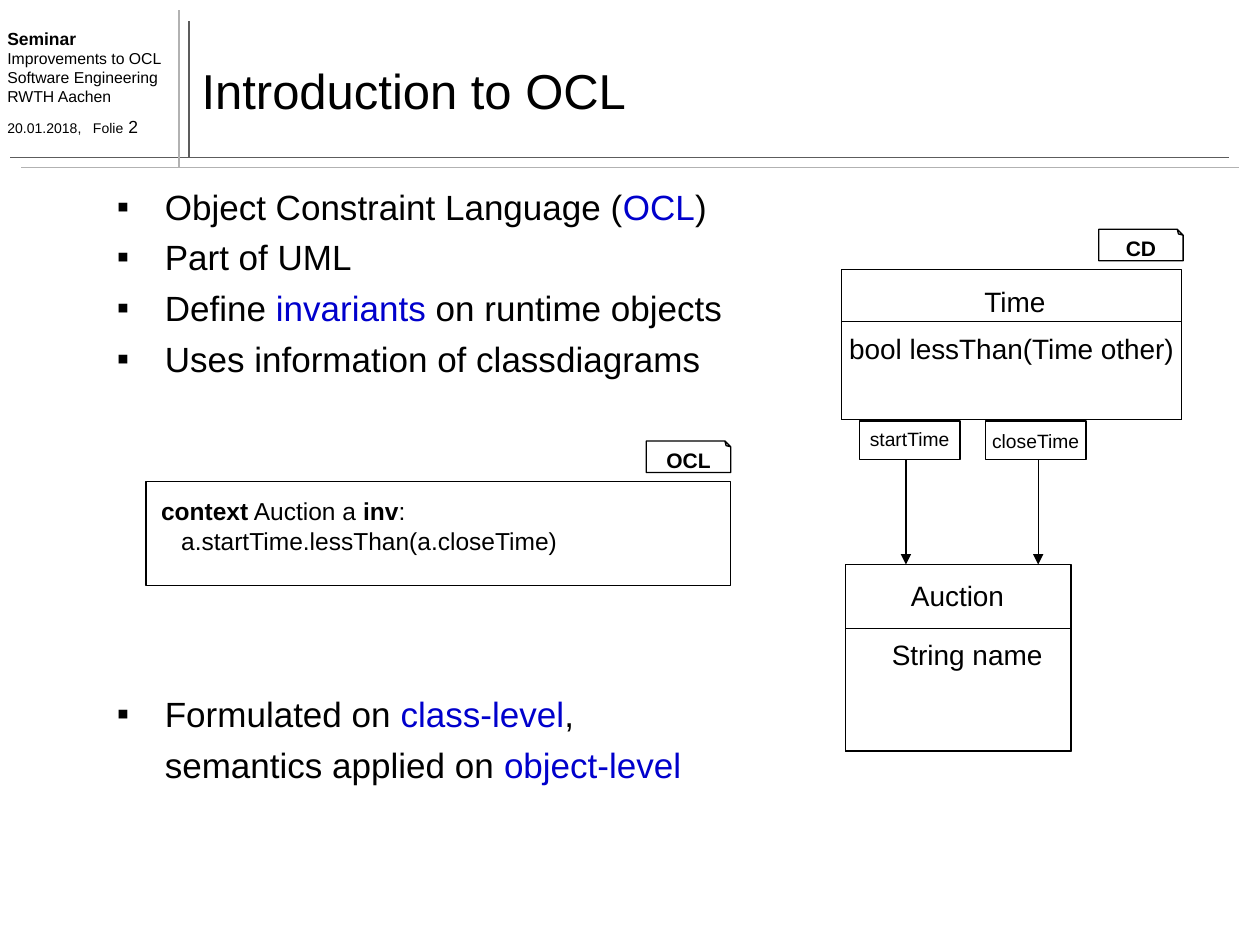
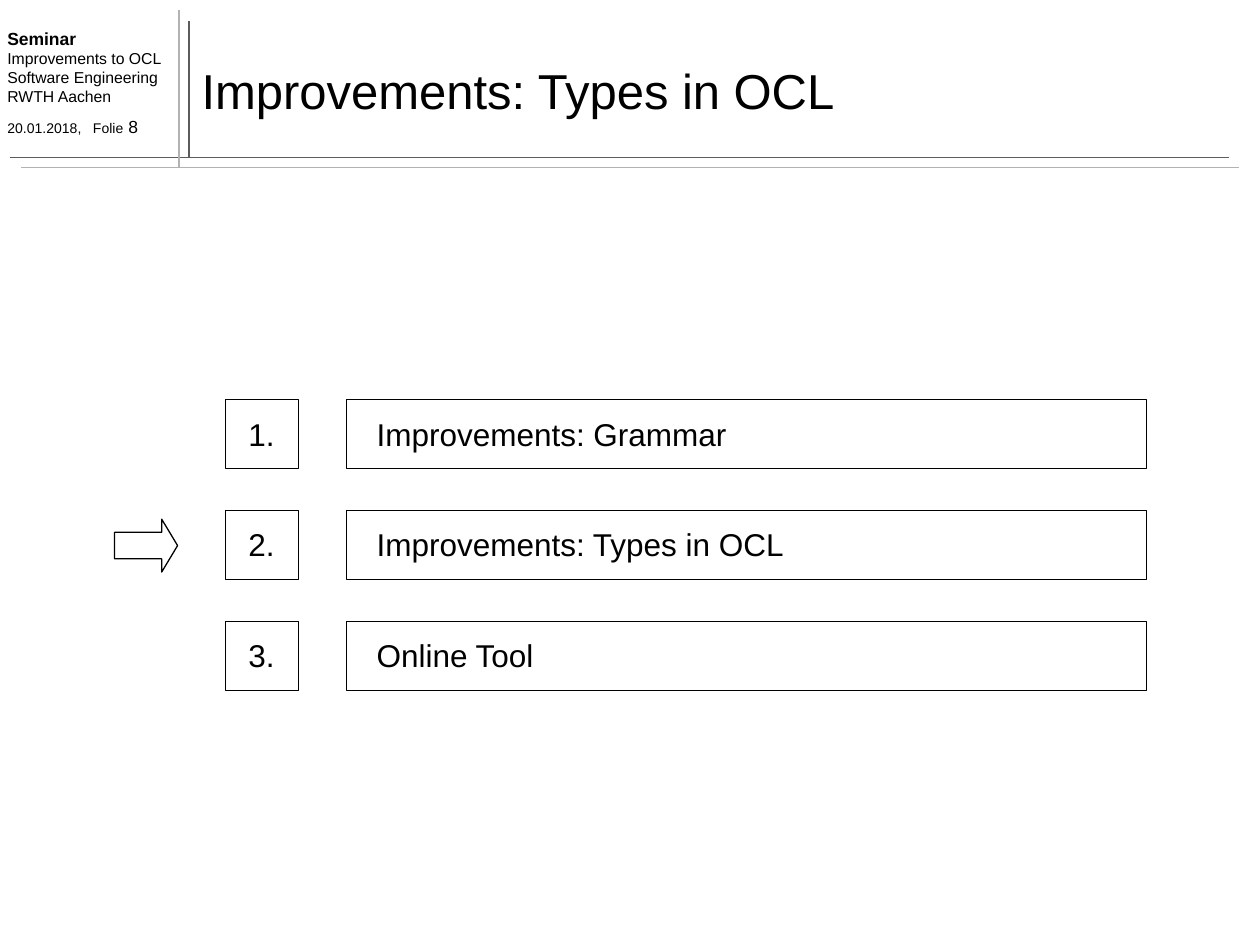
from lxml.etree import SubElement
from pptx import Presentation
from pptx.dml.color import RGBColor
from pptx.enum.shapes import MSO_CONNECTOR, MSO_SHAPE
from pptx.enum.text import MSO_ANCHOR, MSO_AUTO_SIZE, PP_ALIGN
from pptx.oxml.ns import qn
from pptx.shapes.connector import Connector
from pptx.util import Inches, Pt

BLACK, BLUE, DARK_GRAY, LIGHT_GRAY, WHITE = "000000", "0000CC", "5C5C5C", "B2B2B2", "FFFFFF"
FONT = "Arial"
TITLE_ONLY = 5


def write(frame, paragraphs, size=16, bold=False, align=PP_ALIGN.LEFT,
          anchor=MSO_ANCHOR.TOP, wrap=False, space_before=0):
    """Fill a text frame; each paragraph is a list of (text, overrides) spans."""
    frame.auto_size = MSO_AUTO_SIZE.NONE
    frame.word_wrap = wrap
    frame.vertical_anchor = anchor
    for index, spans in enumerate(paragraphs):
        para = frame.paragraphs[0] if index == 0 else frame.add_paragraph()
        para.alignment = align
        para.space_before = Pt(space_before)
        for text, overrides in spans:
            span = para.add_run()
            span.text = text
            span.font.name = FONT
            span.font.size = Pt(overrides.get("size", size))
            span.font.bold = overrides.get("bold", bold)
            span.font.color.rgb = RGBColor.from_string(overrides.get("color", BLACK))


def outline(item, color=BLACK, width=0.75, fill=None):
    """Give a shape or connector a plain line and no shadow."""
    item.line.color.rgb = RGBColor.from_string(color)
    item.line.width = Pt(width)
    if not isinstance(item, Connector):
        if fill:
            item.fill.solid()
            item.fill.fore_color.rgb = RGBColor.from_string(fill)
        else:
            item.fill.background()
    SubElement(item.element.spPr, qn("a:effectLst"))


deck = Presentation()
deck.slide_width, deck.slide_height = Inches(10), Inches(7.5)

# Shared header: crossing rules, seminar details and title
header_rules = [
    ((1.5, 1.25), (1.5, 0.17), DARK_GRAY),
    ((0.08, 1.25), (9.75, 1.25), DARK_GRAY),
    ((0.17, 1.33), (9.83, 1.33), LIGHT_GRAY),
    ((1.42, 1.33), (1.42, 0.08), LIGHT_GRAY),
]
pages = []
for title_text, number in [("Introduction to OCL", 2), ("Improvements: Types in OCL", 8)]:
    page = deck.slides.add_slide(deck.slide_layouts[TITLE_ONLY])
    pages.append(page)
    for start, end, color in header_rules:
        rule = page.shapes.add_connector(MSO_CONNECTOR.STRAIGHT, *map(Inches, start + end))
        outline(rule, color, 1)

    details = page.shapes.add_textbox(*map(Inches, (-0.04, 0.17, 1.54, 0.97))).text_frame
    write(details, [
        [("Seminar", {"size": 10, "bold": True})],
        [("Improvements to OCL", {})],
        [("Software Engineering", {})],
        [("RWTH Aachen", {})],
        [("20.01.2018,\tFolie", {"size": 8}), (f" {number}", {"size": 10})],
    ], size=9, wrap=True)
    date_para = details.paragraphs[-1]
    date_para.space_before = Pt(6.2)
    tabs = SubElement(date_para._p.get_or_add_pPr(), qn("a:tabLst"))
    SubElement(tabs, qn("a:tab"), pos=str(Inches(0.68)), algn="l")

    title = page.shapes.title
    title.left, title.top, title.width, title.height = map(Inches, (1.5, 0.25, 8.33, 0.92))
    write(title.text_frame, [[(title_text, {})]], size=28, anchor=MSO_ANCHOR.MIDDLE, wrap=True)

intro, agenda = pages

# Introduction: bullets above and below the code example
blue = {"color": BLUE}
bullet_blocks = [
    (1.42, 1.8, [
        [("Object Constraint Language (", {}), ("OCL", blue), (")", {})],
        [("Part of UML", {})],
        [("Define ", {}), ("invariants", blue), (" on runtime objects", {})],
        [("Uses information of classdiagrams", {})],
    ]),
    (5.45, 1, [
        [("Formulated on ", {}), ("class-level", blue), (",", {})],
        [("semantics applied on ", {}), ("object-level", blue)],
    ]),
]
for top, height, paragraphs in bullet_blocks:
    box = intro.shapes.add_textbox(*map(Inches, (0.83, top, 5.7, height)))
    write(box.text_frame, paragraphs, size=20, wrap=True, space_before=5)
    for para, spans in zip(box.text_frame.paragraphs, paragraphs):
        properties = para._p.get_or_add_pPr()
        properties.set("marL", str(Inches(0.38)))
        if spans[0][0].startswith("semantics"):
            continue  # continues the bullet above
        properties.set("indent", str(Inches(-0.38)))
        bullet_color = SubElement(properties, qn("a:buClr"))
        SubElement(bullet_color, qn("a:srgbClr"), val=BLACK)
        SubElement(properties, qn("a:buFont"), typeface=FONT)
        SubElement(properties, qn("a:buChar"), char="▪")

# Introduction: outlines of the classes, role boxes and code example
for at in [
    (6.71, 4.48, 1.79, 1.48), (6.71, 4.99, 1.79, 0.97),  # Auction
    (6.68, 2.14, 2.7, 1.19), (6.68, 2.55, 2.7, 0.78),    # Time
    (6.82, 3.34, 0.8, 0.31), (7.82, 3.34, 0.8, 0.31),    # roles
    (1.16, 3.82, 4.64, 0.83),                            # code
]:
    outline(intro.shapes.add_shape(MSO_SHAPE.RECTANGLE, *map(Inches, at)))

# Introduction: class and role labels
for text, at, size, align in [
    ("Auction", (7.13, 4.54, 0.94, 0.37), 16, PP_ALIGN.CENTER),
    ("String name", (6.98, 5.01, 1.39, 0.37), 16, PP_ALIGN.LEFT),
    ("Time", (7.71, 2.21, 0.69, 0.37), 16, PP_ALIGN.CENTER),
    ("bool lessThan(Time other)", (6.64, 2.58, 2.78, 0.37), 16, PP_ALIGN.LEFT),
    ("startTime", (6.8, 3.34, 0.84, 0.29), 11, PP_ALIGN.CENTER),
    ("closeTime", (7.77, 3.36, 0.9, 0.29), 11, PP_ALIGN.CENTER),
]:
    label = intro.shapes.add_textbox(*map(Inches, at))
    write(label.text_frame, [[(text, {})]], size=size, align=align)

# Introduction: arrows from the roles to Auction
for x in (7.19, 8.24):
    arrow = intro.shapes.add_connector(MSO_CONNECTOR.STRAIGHT, *map(Inches, (x, 3.65, x, 4.48)))
    outline(arrow)
    SubElement(arrow.element.spPr.find(qn("a:ln")), qn("a:tailEnd"), type="triangle")

# Introduction: folded tags, flipped so that the fold is on top
for text, left, top in [("CD", 8.72, 1.82), ("OCL", 5.13, 3.5)]:
    tag = intro.shapes.add_shape(MSO_SHAPE.FOLDED_CORNER, *map(Inches, (left, top, 0.67, 0.25)))
    fold = next(tag.element.spPr.iter(qn("a:avLst")))
    SubElement(fold, qn("a:gd"), name="adj", fmla="val 18500")
    outline(tag, fill=WHITE)
    write(tag.text_frame, [[(text, {})]], size=12, bold=True,
          align=PP_ALIGN.CENTER, anchor=MSO_ANCHOR.MIDDLE)
    tag.element.spPr.find(qn("a:xfrm")).set("flipV", "1")
    tag.text_frame._txBody.bodyPr.set("rot", "10800000")

# Introduction: code example
code = intro.shapes.add_textbox(*map(Inches, (1.18, 3.89, 4.16, 0.57))).text_frame
keyword = {"bold": True}
write(code, [
    [("context", keyword), (" Auction a ", {}), ("inv", keyword), (":", {})],
    [("a.startTime.lessThan(a.closeTime)", {})],
], size=14, wrap=True)
code.paragraphs[1]._p.get_or_add_pPr().set("marL", str(Inches(0.16)))

# Agenda: numbered rows at equal steps
first_top, step = 3.17, 0.88
topics = [("Improvements: Grammar", 2.98), ("Improvements: Types in OCL", 3.45), ("Online Tool", 1.48)]
for row, (topic, topic_width) in enumerate(topics):
    top = first_top + row * step
    for left, width in [(1.79, 0.58), (2.75, 6.35)]:
        frame_box = agenda.shapes.add_shape(
            MSO_SHAPE.RECTANGLE, *map(Inches, (left, top, width, 0.55)))
        outline(frame_box)
    for text, left, width, align in [
        (f"{row + 1}.", 1.87, 0.41, PP_ALIGN.CENTER),
        (topic, 2.89, topic_width, PP_ALIGN.LEFT),
    ]:
        label = agenda.shapes.add_textbox(*map(Inches, (left, top + 0.07, width, 0.4)))
        write(label.text_frame, [[(text, {})]], size=18, align=align, anchor=MSO_ANCHOR.MIDDLE)

# Agenda: marker of the current topic
marker = agenda.shapes.add_shape(
    MSO_SHAPE.RIGHT_ARROW, *map(Inches, (0.91, first_top + step + 0.07, 0.5, 0.42)))
marker.adjustments[0], marker.adjustments[1] = 0.5, 0.3
outline(marker)

deck.save("out.pptx")
